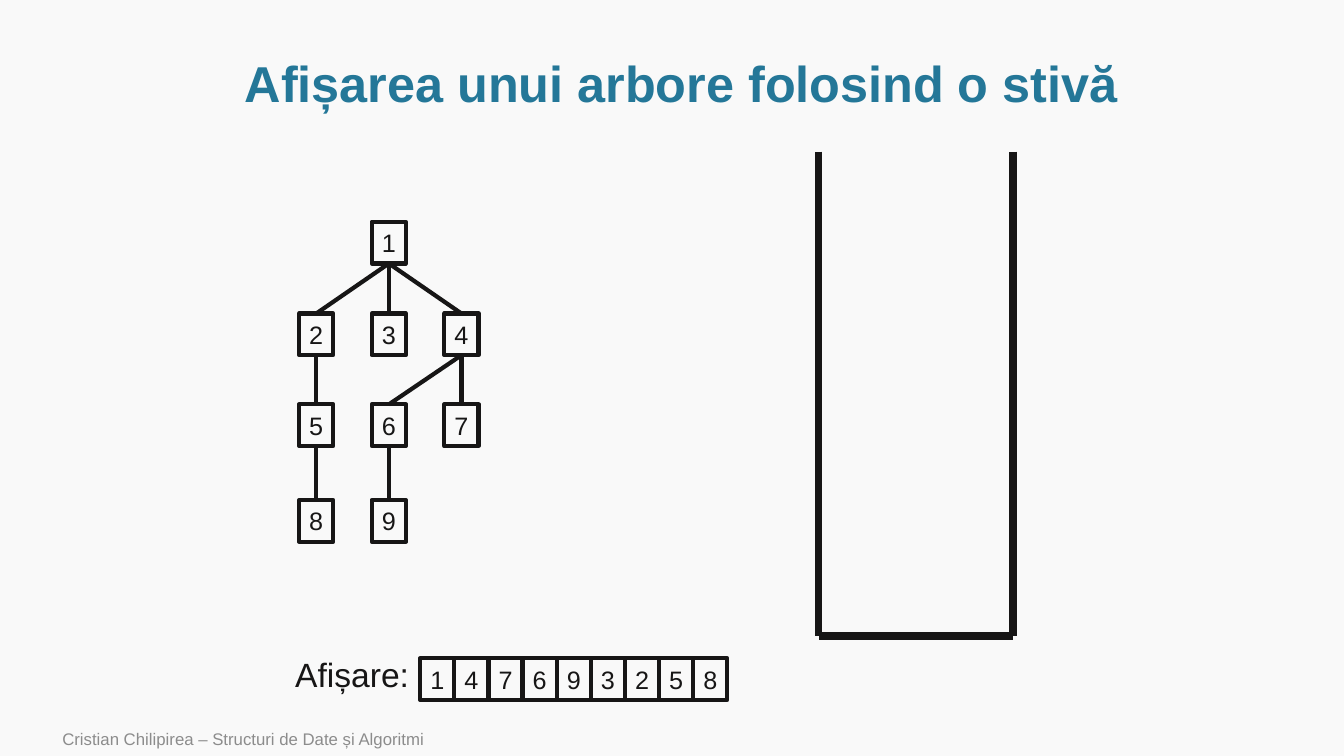
"""Slide showing a tree, an empty stack and the order in which the nodes are printed."""
from lxml.etree import SubElement
from pptx import Presentation
from pptx.dml.color import RGBColor
from pptx.enum.shapes import MSO_CONNECTOR as Link, MSO_SHAPE as Preset
from pptx.enum.text import MSO_ANCHOR as Anchor, MSO_AUTO_SIZE as Fit, PP_ALIGN as Align
from pptx.oxml.ns import qn
from pptx.util import Cm, Pt

INK = "171616"
NODE_WIDTH, NODE_HEIGHT = 0.86, 1.05
TOP_SIDE, BOTTOM_SIDE = 0, 2


def write(holder, text, size, color=INK, bold=False, align=Align.LEFT, frame_format=None):
    frame = holder.text_frame
    frame.text = text
    for name, value in (frame_format or {}).items():
        setattr(frame, name, value)
    paragraph = frame.paragraphs[0]
    paragraph.alignment = align
    font = paragraph.runs[0].font
    for name, value in {"name": "Arial", "size": Pt(size), "bold": bold}.items():
        setattr(font, name, value)
    font.color.rgb = RGBColor.from_string(color)


def style_line(item, width):
    item.line.color.rgb = RGBColor.from_string(INK)
    item.line.width = Pt(width)
    properties = item._element.spPr
    if properties.find(qn("a:effectLst")) is None:
        SubElement(properties, qn("a:effectLst"))


deck = Presentation()
deck.slide_width, deck.slide_height = Cm(33.87), Cm(19.05)
slide = deck.slides.add_slide(deck.slide_layouts[5])
slide.background.fill.solid()
slide.background.fill.fore_color.rgb = RGBColor.from_string("F9F9F9")
shapes = slide.shapes

title = shapes.title
for side, length in {"left": 2.57, "top": 1.3, "width": 29.21, "height": 1.75}.items():
    setattr(title, side, Cm(length))
write(title, "Afișarea unui arbore folosind o stivă", 36, "247798", True, Align.CENTER,
      {"vertical_anchor": Anchor.MIDDLE, "auto_size": Fit.NONE, "word_wrap": True})
title.text_frame.paragraphs[0].line_spacing = 0.9

output_label = shapes.add_textbox(Cm(7.19), Cm(16.36), Cm(3.4), Cm(1.27))
write(output_label, "Afișare:", 24,
      frame_format={"word_wrap": False, "auto_size": Fit.SHAPE_TO_FIT_TEXT})

stack_left, stack_right, stack_top, stack_bottom = 20.63, 25.52, 3.82, 16.02
for x1, y1, x2, y2 in [
    (stack_left, stack_top, stack_left, stack_bottom),
    (stack_right, stack_top, stack_right, stack_bottom),
    (stack_right, stack_bottom, stack_left, stack_bottom),
]:
    wall = shapes.add_connector(Link.STRAIGHT, Cm(x1), Cm(y1), Cm(x2), Cm(y2))
    style_line(wall, 5.5)

tree_levels = {5.59: " 1 ", 7.9: "234", 10.19: "567", 12.6: "89 "}
places = [
    (label, 7.54 + 1.83 * column, top)
    for top, labels in tree_levels.items()
    for column, label in enumerate(labels)
    if label != " "
]
places += [(label, 10.59 + NODE_WIDTH * index, 16.59) for index, label in enumerate("147693258")]

tree_nodes = {}
for label, left, top in places:
    node = shapes.add_shape(Preset.RECTANGLE, Cm(left), Cm(top), Cm(NODE_WIDTH), Cm(NODE_HEIGHT))
    node.shadow.inherit = False
    node.fill.background()
    style_line(node, 3)
    write(node, label, 18, align=Align.CENTER,
          frame_format={"vertical_anchor": Anchor.MIDDLE, "word_wrap": False})
    tree_nodes.setdefault(label, node)

for parent, child in ["12", "13", "14", "25", "46", "47", "58", "69"]:
    branch = shapes.add_connector(Link.STRAIGHT, 0, 0, 0, 0)
    branch.begin_connect(tree_nodes[parent], BOTTOM_SIDE)
    branch.end_connect(tree_nodes[child], TOP_SIDE)
    style_line(branch, 3)

footer = shapes.add_textbox(Cm(1.32), Cm(18.19), Cm(21.34), Cm(0.86))
write(footer, "Cristian Chilipirea – Structuri de Date și Algoritmi", 12, "8C8C8C",
      frame_format={"vertical_anchor": Anchor.MIDDLE, "word_wrap": True})

deck.save("out.pptx")
